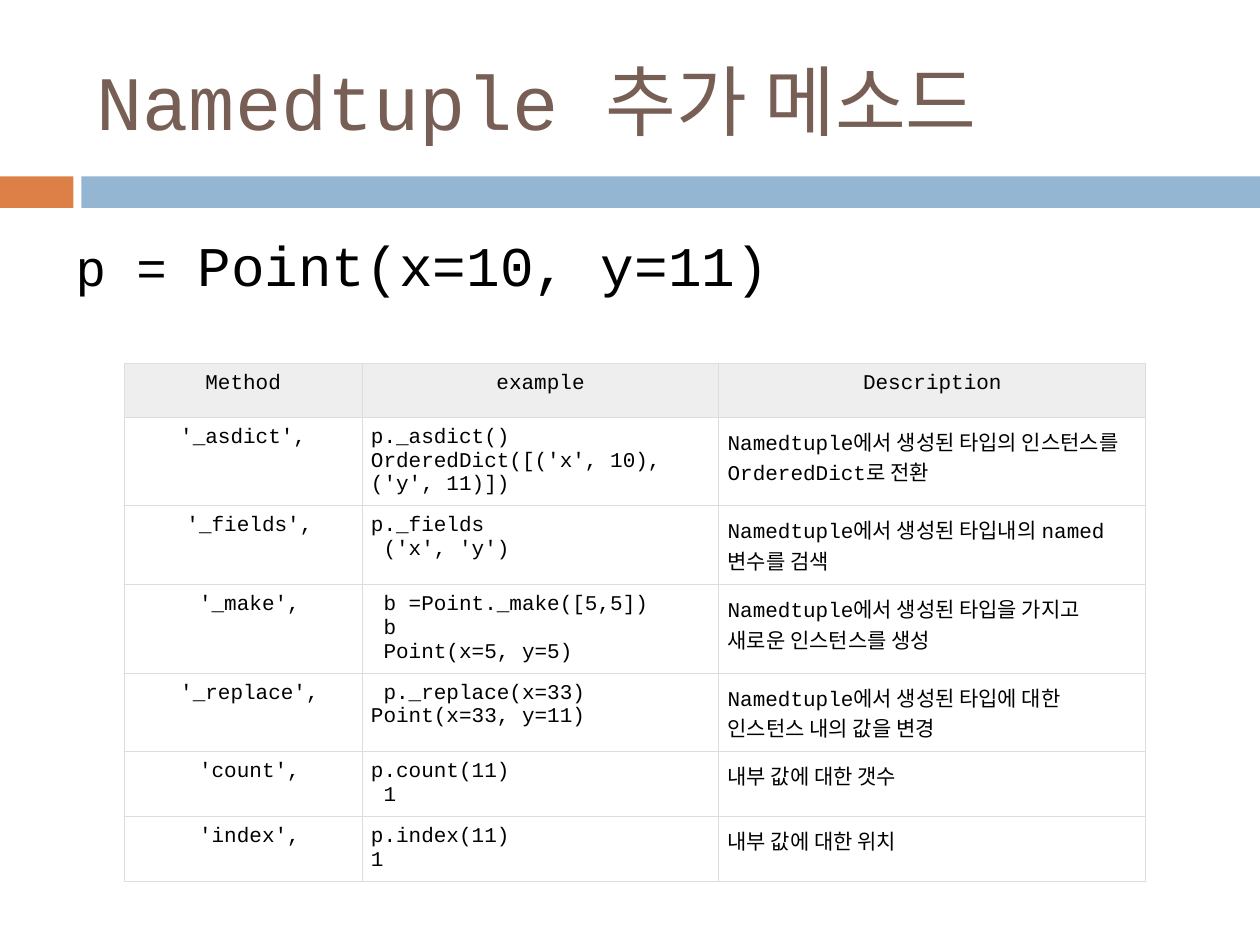
from pptx import Presentation as Deck
from pptx.dml.color import RGBColor as Color
from pptx.enum.shapes import MSO_SHAPE as Shape
from pptx.enum.text import MSO_ANCHOR as Anchor, MSO_AUTO_SIZE as Fit, PP_ALIGN as Align
from pptx.oxml import parse_xml as to_xml
from pptx.oxml.ns import nsdecls
from pptx.util import Pt

BLACK = Color(0, 0, 0)
BROWN = Color(0x77, 0x5F, 0x55)
ORANGE = Color(0xDD, 0x80, 0x47)
BLUE = Color(0x94, 0xB6, 0xD2)
GRAY = Color(0xEE, 0xEE, 0xEE)
LINE = Color(0xDD, 0xDD, 0xDD)

WIDTHS = [136.1, 203.8, 244]
HEIGHTS = [30.9, 50.3, 44.6, 50.3, 44.6, 36.7, 36.7]
ROWS = [
    ["Method", "example", "Description"],
    ["'_asdict',", "p._asdict()\nOrderedDict([('x', 10), ('y', 11)])",
     "Namedtuple에서 생성된 타입의 인스턴스를 OrderedDict로 전환"],
    [" '_fields',", "p._fields\n ('x', 'y')",
     "Namedtuple에서 생성된 타입내의 named 변수를 검색"],
    [" '_make',", " b =Point._make([5,5])\n b\n Point(x=5, y=5)",
     "Namedtuple에서 생성된 타입을 가지고 새로운 인스턴스를 생성"],
    [" '_replace',", " p._replace(x=33)\nPoint(x=33, y=11)",
     "Namedtuple에서 생성된 타입에 대한 인스턴스 내의 값을 변경"],
    [" 'count',", "p.count(11)\n 1", "내부 값에 대한 갯수"],
    [" 'index',", "p.index(11)\n1", "내부 값에 대한 위치"],
]


def apply(obj, form):
    for name, value in form.items():
        setattr(obj, name, value)


class Page:
    font = "Courier New"
    inset = {f"margin_{side}": Pt(5) for side in ("left", "right", "top", "bottom")}

    def __init__(self, deck):
        self.slide = deck.slides.add_slide(deck.slide_layouts[1])

    def style(self, run, size, color):
        apply(run.font, {"name": self.font, "size": Pt(size), "bold": False})
        run.font.color.rgb = color

    def bar(self, x, y, w, h, color):
        bar = self.slide.shapes.add_shape(Shape.RECTANGLE, Pt(x), Pt(y), Pt(w), Pt(h))
        bar.shadow.inherit = False
        bar.fill.solid()
        bar.fill.fore_color.rgb = color
        bar.line.fill.background()

    def holder(self, index, box, anchor, runs, color, space=0):
        shape = self.slide.placeholders[index]
        apply(shape, dict(zip(("left", "top", "width", "height"), map(Pt, box))))
        frame = shape.text_frame
        apply(frame, {"word_wrap": True, "auto_size": Fit.NONE, "vertical_anchor": anchor})
        para = frame.paragraphs[0]
        props = para._p.get_or_add_pPr()
        props.set("marL", "0")
        props.set("indent", "0")
        props.append(to_xml(f"<a:buNone {nsdecls('a')}/>"))
        apply(para, {"alignment": Align.LEFT, "space_before": Pt(space)})
        for text, size in runs:
            run = para.add_run()
            run.text = text
            self.style(run, size, color)

    def border(self, cell):
        props = cell._tc.get_or_add_tcPr()
        for place, side in enumerate("LRTB"):
            props.insert(place, to_xml(
                f'<a:ln{side} {nsdecls("a")} w="{Pt(0.6)}"><a:solidFill>'
                f'<a:srgbClr val="{LINE}"/></a:solidFill></a:ln{side}>'))

    def cell(self, cell, text, align, fill):
        apply(cell, self.inset)
        cell.text = text
        for para in cell.text_frame.paragraphs:
            para.alignment = align
            for run in para.runs:
                self.style(run, 12, BLACK)
        if fill:
            cell.fill.solid()
            cell.fill.fore_color.rgb = fill
        else:
            cell.fill.background()
        self.border(cell)

    def table(self, x, y, rows, widths, heights):
        table = self.slide.shapes.add_table(
            len(rows), len(widths), Pt(x), Pt(y), Pt(sum(widths)), Pt(sum(heights))).table
        apply(table, {"first_row": False, "horz_banding": False})
        for col, width in zip(table.columns, widths):
            col.width = Pt(width)
        for row, height in zip(table.rows, heights):
            row.height = Pt(height)
        for r, row in enumerate(rows):
            for c, text in enumerate(row):
                align = Align.CENTER if r == 0 or c == 0 else Align.LEFT
                self.cell(table.cell(r, c), text, align, GRAY if r == 0 else None)


def main():
    deck = Deck()
    apply(deck, {"slide_width": Pt(720), "slide_height": Pt(540)})
    page = Page(deck)
    page.bar(0, 100.8, 42, 18, ORANGE)
    page.bar(46.5, 100.8, 673.5, 18, BLUE)
    page.holder(0, (48, 18, 642, 78), Anchor.MIDDLE, [("Namedtuple 추가 메소드", 44)], BROWN)
    page.holder(1, (36, 128, 648, 73.5), Anchor.TOP,
                [("p = ", 29), ("Point(x=10, y=11)", 32)], BLACK, 7)
    page.table(70.9, 207.5, ROWS, WIDTHS, HEIGHTS)
    deck.save("out.pptx")


if __name__ == "__main__":
    main()
